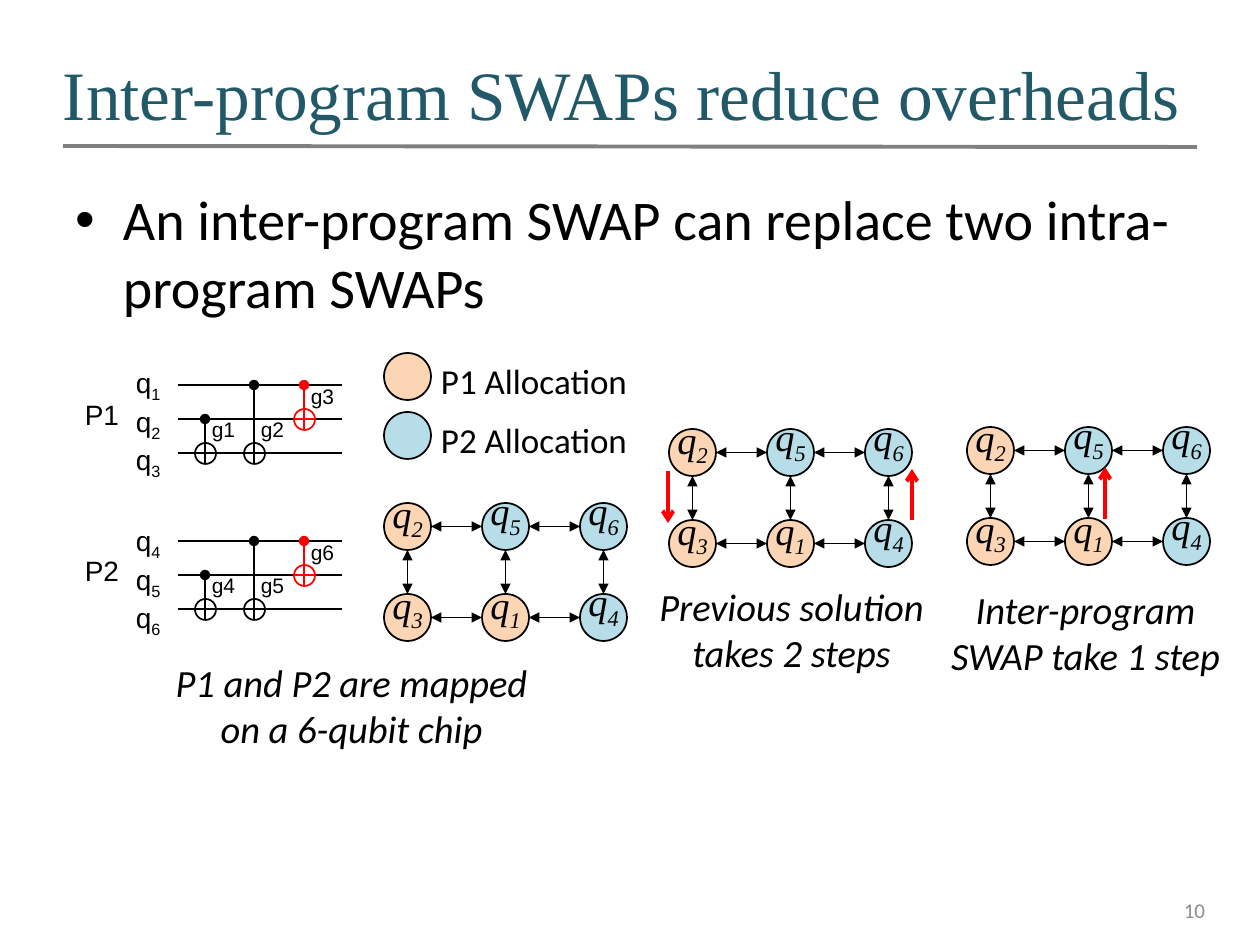
from lxml.etree import SubElement
from pptx import Presentation
from pptx.dml.color import RGBColor
from pptx.enum.shapes import MSO_CONNECTOR as CONN, MSO_SHAPE as SHAPE
from pptx.enum.text import MSO_ANCHOR as ANCHOR, PP_ALIGN as ALIGN
from pptx.oxml.ns import qn
from pptx.util import Pt

BLACK = RGBColor(0, 0, 0)
RED = RGBColor(255, 0, 0)
GREY = RGBColor(0x80, 0x80, 0x80)
NUMBER_GREY = RGBColor(0x8C, 0x8C, 0x8C)
TEAL = RGBColor(0x21, 0x59, 0x68)
PEACH = RGBColor(0xFC, 0xD5, 0xB5)
BLUE = RGBColor(0xB7, 0xDE, 0xE8)

SERIF, SANS, BODY = "Times New Roman", "Arial", "Calibri"
DIAMETER, PITCH_X, PITCH_Y = 47, 98, 91
WIRE_GAP, TARGET_RADIUS = 34, 10
LATTICE = [[("2", PEACH), ("5", BLUE), ("6", BLUE)],
           [("3", PEACH), ("1", PEACH), ("4", BLUE)]]


def px(n):
    return round(n * 914400 / 126)


class Canvas:
    def __init__(self, slide):
        self.shapes = slide.shapes

    def style(self, r, size, font, color, italic, sub=False):
        r.font.size = Pt(size)
        r.font.name = font
        r.font.italic = italic
        r.font.color.rgb = color
        if sub:
            r.font._element.set("baseline", "-25000")

    def fill_text(self, tf, lines, size, font, color=BLACK, italic=False,
                  align=ALIGN.LEFT, spacing=None):
        for i, line in enumerate(lines):
            p = tf.paragraphs[0] if i == 0 else tf.add_paragraph()
            base, _, index = line.partition("_")
            p.text = base
            p.alignment = align
            if spacing:
                p.line_spacing = Pt(spacing)
            self.style(p.runs[0], size, font, color, italic)
            if index:
                r = p.add_run()
                r.text = index
                self.style(r, size, font, color, italic, sub=True)

    def pad(self, tf, x, y):
        tf.margin_left = tf.margin_right = px(x)
        tf.margin_top = tf.margin_bottom = px(y)

    def text(self, x, y, w, h, lines, size, font, pad=(0, 0),
             anchor=ANCHOR.TOP, **look):
        tf = self.shapes.add_textbox(px(x), px(y), px(w), px(h)).text_frame
        tf.word_wrap = True
        tf.vertical_anchor = anchor
        self.pad(tf, *pad)
        self.fill_text(tf, lines, size, font, **look)
        return tf

    def bullet(self, x, y, w, h, line):
        tf = self.text(x, y, w, h, [line], 32, BODY, pad=(13, 6))
        p = tf.paragraphs[0]
        p.space_before = Pt(6.4)
        pPr = p._p.get_or_add_pPr()
        pPr.set("marL", str(px(47)))
        pPr.set("indent", str(px(-47)))
        SubElement(pPr, qn("a:buFont")).set("typeface", SANS)
        SubElement(pPr, qn("a:buChar")).set("char", "•")

    def line(self, x1, y1, x2, y2, color=BLACK, width=1, head=None, tail=None):
        s = self.shapes.add_connector(CONN.STRAIGHT, px(x1), px(y1), px(x2), px(y2))
        s.line.color.rgb = color
        s.line.width = Pt(width)
        ln = s.line._ln
        for tag, kind in (("a:headEnd", head), ("a:tailEnd", tail)):
            if kind:
                SubElement(ln, qn(tag)).set("type", kind)
        SubElement(ln.getparent(), qn("a:effectLst"))

    def circle(self, x, y, d, fill=None, color=BLACK):
        sp = self.shapes.add_shape(SHAPE.OVAL, px(x), px(y), px(d), px(d))
        sp.shadow.inherit = False
        if fill is None:
            sp.fill.background()
        else:
            sp.fill.solid()
            sp.fill.fore_color.rgb = fill
        sp.line.color.rgb = color
        sp.line.width = Pt(1)
        return sp

    def qubit(self, x, y, index, fill):
        tf = self.circle(x, y, DIAMETER, fill).text_frame
        self.pad(tf, 0, 0)
        tf.vertical_anchor = ANCHOR.MIDDLE
        tf.word_wrap = fill == PEACH
        self.fill_text(tf, [f"q_{index}"], 22, SERIF, italic=True,
                       align=ALIGN.CENTER, spacing=18 if fill == PEACH else 15)

    def link(self, x1, y1, x2, y2):
        self.line(x1, y1, x2, y2, head="triangle", tail="triangle")

    def lattice(self, x, y):
        half = DIAMETER / 2
        for row, qubits in enumerate(LATTICE):
            for col, (index, fill) in enumerate(qubits):
                left, top = x + col * PITCH_X, y + row * PITCH_Y
                self.qubit(left, top, index, fill)
                if col < 2:
                    self.link(left + DIAMETER, top + half, left + PITCH_X, top + half)
                if row == 0:
                    self.link(left + half, top + DIAMETER, left + half, top + PITCH_Y)

    def gate(self, x, control, target, color):
        r = TARGET_RADIUS
        self.line(x, control, x, target, color, head="oval")
        self.circle(x - r, target - r, 2 * r + 1, color=color)
        self.line(x, target - r, x, target + r + 1, color)
        self.line(x - r, target, x + r + 1, target, color)

    def circuit(self, top, label_top, name, first):
        wires = [top + i * WIRE_GAP for i in range(3)]
        self.text(123, label_top, 73, 115, [f"q_{first + i}" for i in range(3)],
                  16, SANS, pad=(13, 6))
        self.text(63, top + 13, 78, 34, [name], 16, SANS, align=ALIGN.CENTER)
        for y in wires:
            self.line(178, y, 342, y)
        gates = [(205, 1, 2, 32, BLACK), (254, 0, 2, 32, BLACK), (304, 0, 1, -1, RED)]
        for i, (x, control, target, drop, color) in enumerate(gates):
            self.gate(x, wires[control], wires[target], color)
            self.text(x + 1, top + drop, 35, 26, [f"g{first + i}"], 12, SANS,
                      align=ALIGN.CENTER)

    def swap(self, x, y1, y2):
        self.line(x, y1, x, y2, RED, 2.25, tail="arrow")

    def caption(self, x, y, w, line):
        self.text(x, y, w, 106, [line], 22, BODY, pad=(13, 6), italic=True,
                  align=ALIGN.CENTER)


def main():
    prs = Presentation()
    prs.slide_width, prs.slide_height = px(1260), px(945)
    c = Canvas(prs.slides.add_slide(prs.slide_layouts[6]))

    c.line(63, 146, 1197, 147, GREY, 2.25)
    c.text(63, 38, 1134, 110, ["Inter-program SWAPs reduce overheads"], 39.6, SERIF,
           pad=(0, 6), anchor=ANCHOR.MIDDLE, color=TEAL)
    c.bullet(63, 179, 1134, 693,
             "An inter-program SWAP can replace two intra-program SWAPs")
    c.text(924, 885, 294, 50, ["10"], 12, BODY, pad=(13, 6), anchor=ANCHOR.MIDDLE,
           color=NUMBER_GREY, align=ALIGN.RIGHT)

    for y, name, fill in ((353, "P1", PEACH), (412, "P2", BLUE)):
        c.circle(384, y, DIAMETER, fill)
        c.text(441, y + 6, 227, 43, [f"{name} Allocation"], 20, BODY)

    c.circuit(385, 360, "P1", 1)
    c.circuit(541, 518, "P2", 4)

    for x, y in ((384, 503), (669, 429), (967, 427)):
        c.lattice(x, y)
    for x, y1, y2 in ((668, 471, 523), (912, 520, 469), (1105, 519, 467)):
        c.swap(x, y1, y2)

    c.caption(151, 653, 401, "P1 and P2 are mapped on a 6-qubit chip")
    c.caption(630, 577, 323, "Previous solution takes 2 steps")
    c.caption(924, 580, 323, "Inter-program SWAP take 1 step")

    prs.save("out.pptx")


if __name__ == "__main__":
    main()
